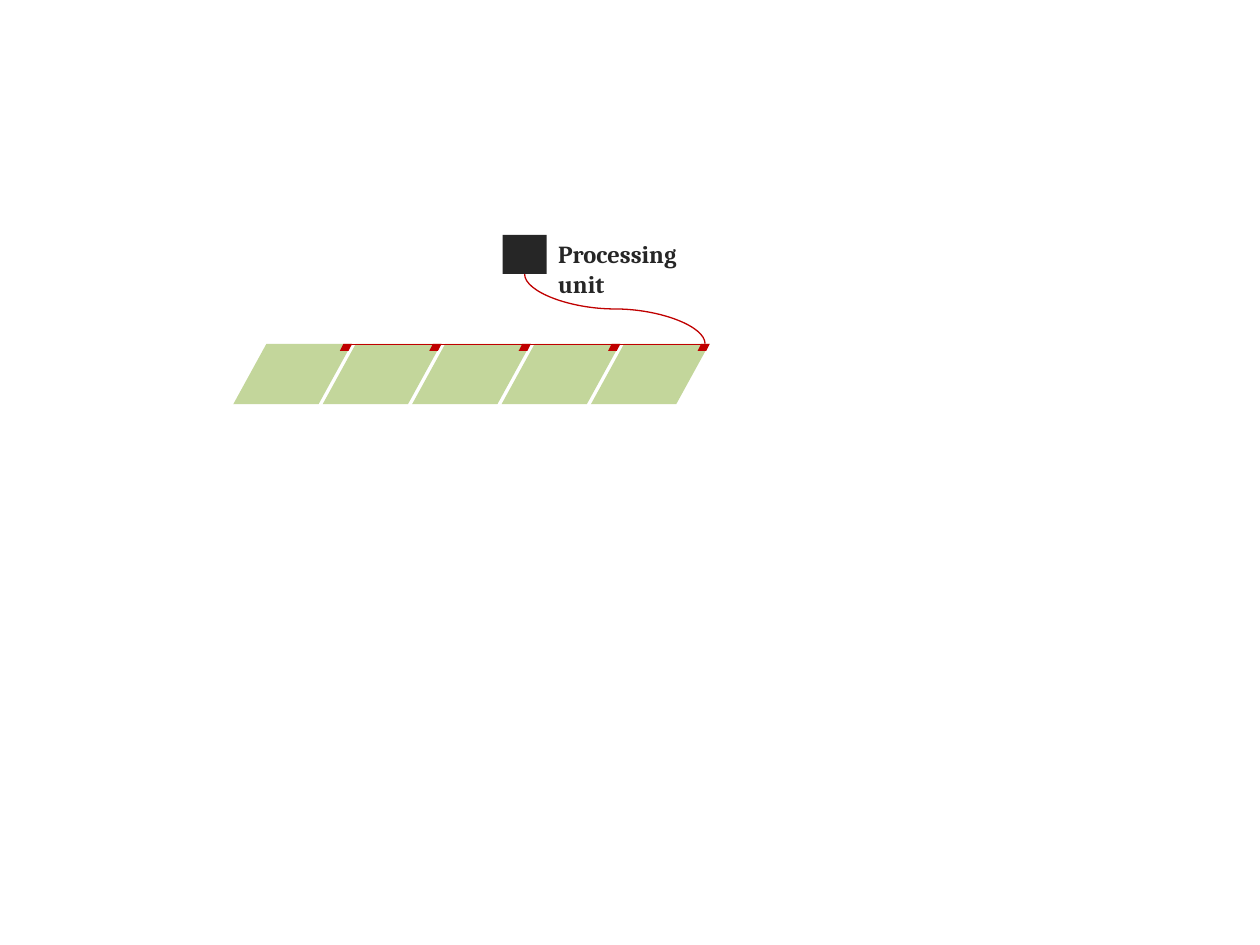
from pptx import Presentation
from pptx import util as u
from pptx.dml.color import RGBColor
from pptx.enum import shapes, text
from pptx.oxml.ns import qn
from lxml import etree

COLORS = {"tile": "C3D69B", "sensor": "C00000", "unit": "262626"}
FONT = "Cambria"
TILE_LEFT, TILE_TOP, TILE_PITCH = 133.3, 196.5, 51.1


class Diagram:
    """Draws styled elements on the current slide, with lengths in points."""

    def __init__(self, slide):
        self.slide = slide

    def color(self, name):
        return RGBColor.from_string(COLORS[name])

    def shape(self, kind, left, top, width, height, color, slant=None):
        box = [u.Pt(length) for length in (left, top, width, height)]
        shape = self.slide.shapes.add_shape(kind, *box)
        shape.shadow.inherit = False
        shape.fill.solid()
        shape.fill.fore_color.rgb = self.color(color)
        shape.line.fill.background()
        if slant is not None:
            shape.adjustments[0] = slant

    def tile(self, index):
        left = TILE_LEFT + index * TILE_PITCH
        kind = shapes.MSO_SHAPE.PARALLELOGRAM
        self.shape(kind, left, TILE_TOP, 67.7, 34.5, "tile", 0.549)
        self.shape(kind, left + 60.9, TILE_TOP, 7, 4, "sensor", 0.515)

    def line(self, kind, start, end, rotation=0):
        points = [u.Pt(length) for length in (*start, *end)]
        connector = self.slide.shapes.add_connector(kind, *points)
        connector.line.color.rgb = self.color("sensor")
        connector.line.width = u.Pt(0.75)
        properties = connector._element.spPr
        etree.SubElement(properties, qn("a:effectLst"))
        if rotation:
            properties.find(qn("a:xfrm")).set("rot", str(rotation * 60000))

    def label(self, content, left, top, width, height):
        box = [u.Pt(length) for length in (left, top, width, height)]
        frame = self.slide.shapes.add_textbox(*box).text_frame
        frame.word_wrap = True
        frame.auto_size = text.MSO_AUTO_SIZE.SHAPE_TO_FIT_TEXT
        paragraph = frame.paragraphs[0]
        paragraph.text = content
        paragraph.font.name = FONT
        paragraph.font.size = u.Pt(14)
        paragraph.font.bold = True
        paragraph.font.color.rgb = self.color("unit")


def main():
    presentation = Presentation()
    presentation.slide_width, presentation.slide_height = u.Pt(720), u.Pt(540)
    diagram = Diagram(presentation.slides.add_slide(presentation.slide_layouts[6]))
    for index in range(1, 5):
        diagram.tile(index)
    diagram.label("Processing unit", 311.8, 133.2, 106.6, 24.5)
    diagram.shape(shapes.MSO_SHAPE.RECTANGLE, 287.2, 134.2, 25.2, 22.3, "unit")
    diagram.line(shapes.MSO_CONNECTOR.CURVE, (331.5, 228.1), (371.2, 125), 270)
    diagram.line(shapes.MSO_CONNECTOR.STRAIGHT, (198, 196.7), (405.4, 196.7))
    diagram.tile(0)
    presentation.save("out.pptx")


if __name__ == "__main__":
    main()
